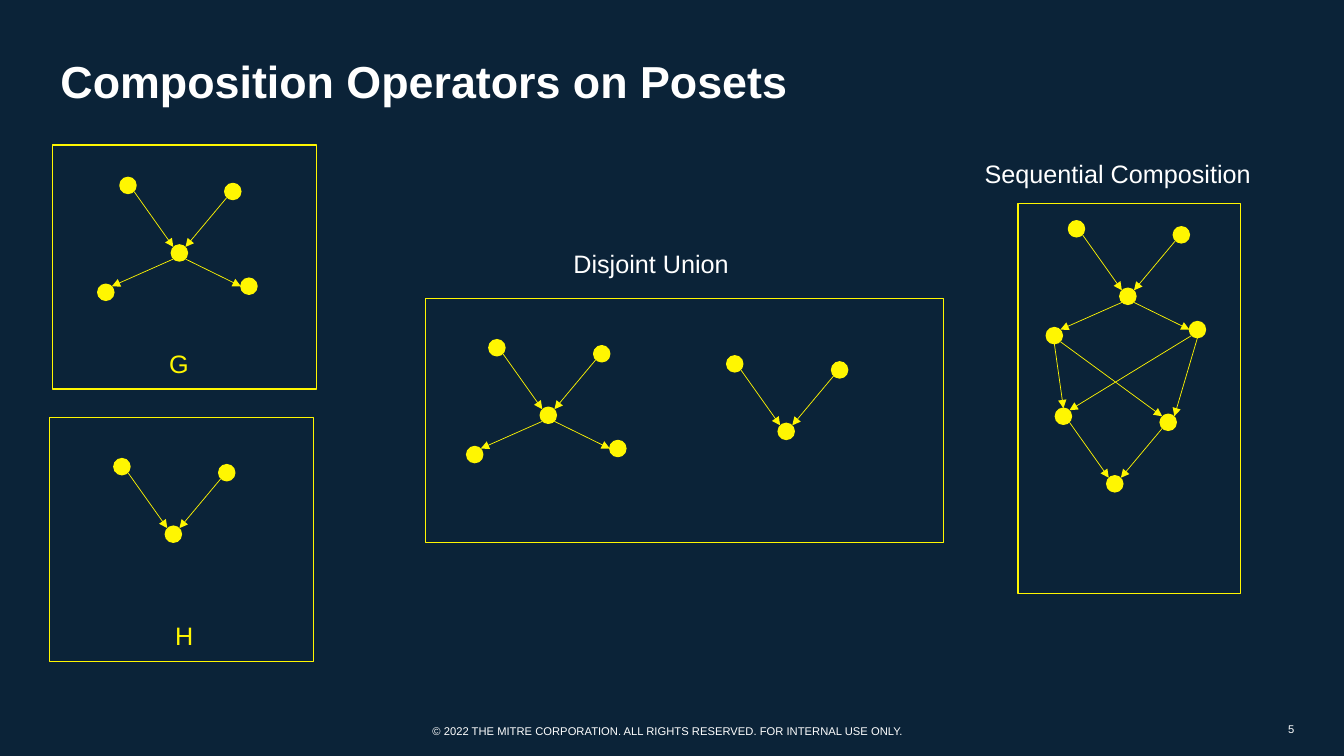
from lxml import etree
from pptx import Presentation
from pptx.dml.color import RGBColor
from pptx.enum.shapes import MSO_CONNECTOR as CXN, MSO_SHAPE as SHAPE
from pptx.enum.text import MSO_ANCHOR as ANCHOR, MSO_AUTO_SIZE as FIT, PP_ALIGN as ALIGN
from pptx.oxml.ns import qn
from pptx.util import Emu, Pt

PX = 9144
NODE = 16
FONT = "Arial"
NAVY, YELLOW, WHITE = "0B2338", "FFF601", "FFFFFF"

TITLE = ("Composition Operators on Posets", (50, 42, 1233, 76))
LABELS = [
    ("G", (158, 341, 40, 40), YELLOW),
    ("H", (164, 611, 38, 40), YELLOW),
    ("Disjoint Union", (559, 241, 176, 40), WHITE),
    ("Sequential Composition", (967, 152, 287, 40), WHITE),
]
FOOTERS = [
    ("© 2022 THE MITRE CORPORATION. ALL RIGHTS RESERVED. FOR INTERNAL USE ONLY.",
     (429, 713, 476, 24), ALIGN.LEFT),
    ("5", (1196, 709, 88, 28), ALIGN.RIGHT),
]
FRAMES = [(52, 144, 262, 242), (49, 414, 262, 242),
          (422, 296, 514, 242), (1010, 202, 221, 387)]

V_NODES = {"left": (0, 0), "right": (104, 6), "middle": (51, 67)}
V_EDGES = [("left", "SE", "middle", "NW"), ("right", "SW", "middle", "NE")]
G = (V_NODES | {"low right": (120, 100), "low left": (-22, 106)},
     V_EDGES + [("middle", "SE", "low right", "W"), ("middle", "SW", "low left", "NE")])
H = (V_NODES, V_EDGES)
POSETS = [(G, (119, 176)), (H, (113, 455)), (G, (485, 337)), (H, (721, 353))]
SEQUENCE = [(G, (1060, 219)), (H, (1047, 405))]
SEQUENCE_EDGES = [("low left", "S", "left", "N"), ("low left", "SE", "right", "NW"),
                  ("low right", "SW", "left", "NE"), ("low right", "S", "right", "NE")]

SITES = {"N": (8, 0), "S": (8, 16), "W": (0, 8),
         "NW": (2, 2), "NE": (14, 2), "SW": (2, 14), "SE": (14, 14)}


def rgb(value):
    return RGBColor.from_string(value)


def emu(box):
    return [Emu(n * PX) for n in box]


def write(tf, text, size, color, bold=False, align=ALIGN.LEFT):
    p = tf.paragraphs[0]
    p.alignment = align
    r = p.add_run()
    r.text = text
    r.font.name, r.font.size, r.font.bold = FONT, Pt(size), bold
    r.font.color.rgb = rgb(color)


def add_outlined(s, kind, box, fill=None):
    sp = s.shapes.add_shape(kind, *emu(box))
    sp.shadow.inherit = False
    sp.line.color.rgb = rgb(YELLOW)
    sp.line.width = Pt(1)
    if fill:
        sp.fill.solid()
        sp.fill.fore_color.rgb = rgb(fill)
    else:
        sp.fill.background()


def add_arrow(s, start, start_site, end, end_site):
    ends = [at + offset for node, site in ((start, start_site), (end, end_site))
            for at, offset in zip(node, SITES[site])]
    line = s.shapes.add_connector(CXN.STRAIGHT, *emu(ends))
    line.line.color.rgb = rgb(YELLOW)
    line.line.width = Pt(0.5)
    etree.SubElement(line.line._get_or_add_ln(), qn("a:tailEnd"), type="triangle")
    etree.SubElement(line._element.spPr, qn("a:effectLst"))


def add_poset(s, poset, origin):
    """Draw one poset at its origin and return where its nodes are."""
    offsets, edges = poset
    nodes = {name: (origin[0] + x, origin[1] + y) for name, (x, y) in offsets.items()}
    for x, y in nodes.values():
        add_outlined(s, SHAPE.OVAL, (x, y, NODE, NODE), YELLOW)
    for start, start_site, end, end_site in edges:
        add_arrow(s, nodes[start], start_site, nodes[end], end_site)
    return nodes


def main():
    prs = Presentation()
    prs.slide_width, prs.slide_height = Emu(12192000), Emu(750 * PX)
    s = prs.slides.add_slide(prs.slide_layouts[5])
    s.background.fill.solid()
    s.background.fill.fore_color.rgb = rgb(NAVY)

    text, box = TITLE
    title = s.shapes.title
    title.left, title.top, title.width, title.height = emu(box)
    title.text_frame.vertical_anchor = ANCHOR.MIDDLE
    title.text_frame.auto_size = FIT.NONE
    write(title.text_frame, text, 32, WHITE, bold=True)

    for frame in FRAMES:
        add_outlined(s, SHAPE.RECTANGLE, frame)
    for poset, origin in POSETS:
        add_poset(s, poset, origin)
    upper, lower = [add_poset(s, poset, origin) for poset, origin in SEQUENCE]
    for start, start_site, end, end_site in SEQUENCE_EDGES:
        add_arrow(s, upper[start], start_site, lower[end], end_site)

    for text, box, color in LABELS:
        tf = s.shapes.add_textbox(*emu(box)).text_frame
        tf.word_wrap = False
        tf.auto_size = FIT.SHAPE_TO_FIT_TEXT
        write(tf, text, 18, color)
    for text, box, align in FOOTERS:
        tf = s.shapes.add_textbox(*emu(box)).text_frame
        tf.word_wrap = True
        tf.margin_left = tf.margin_right = 0
        tf.vertical_anchor = ANCHOR.MIDDLE
        write(tf, text, 8, WHITE, align=align)

    prs.save("out.pptx")


if __name__ == "__main__":
    main()
